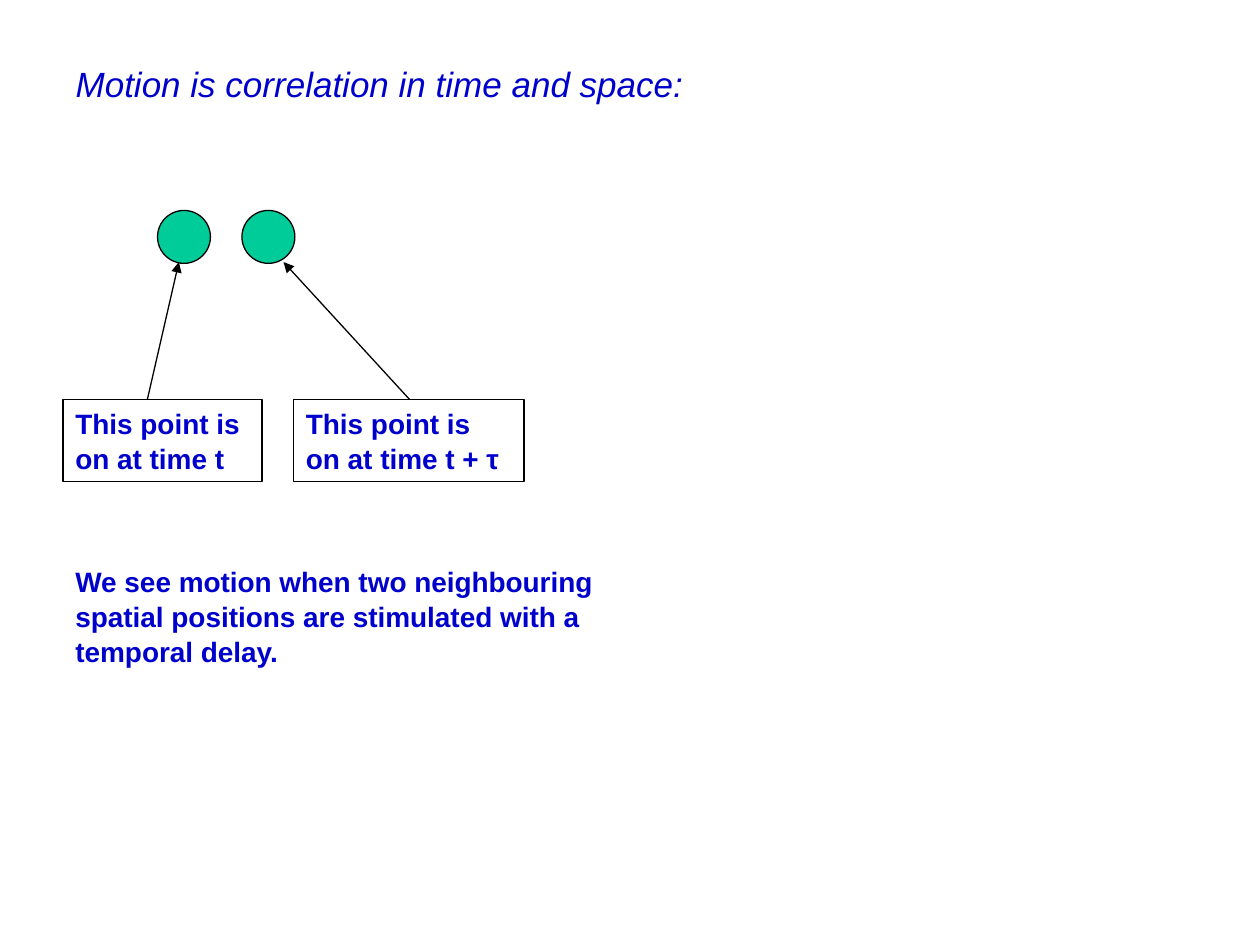
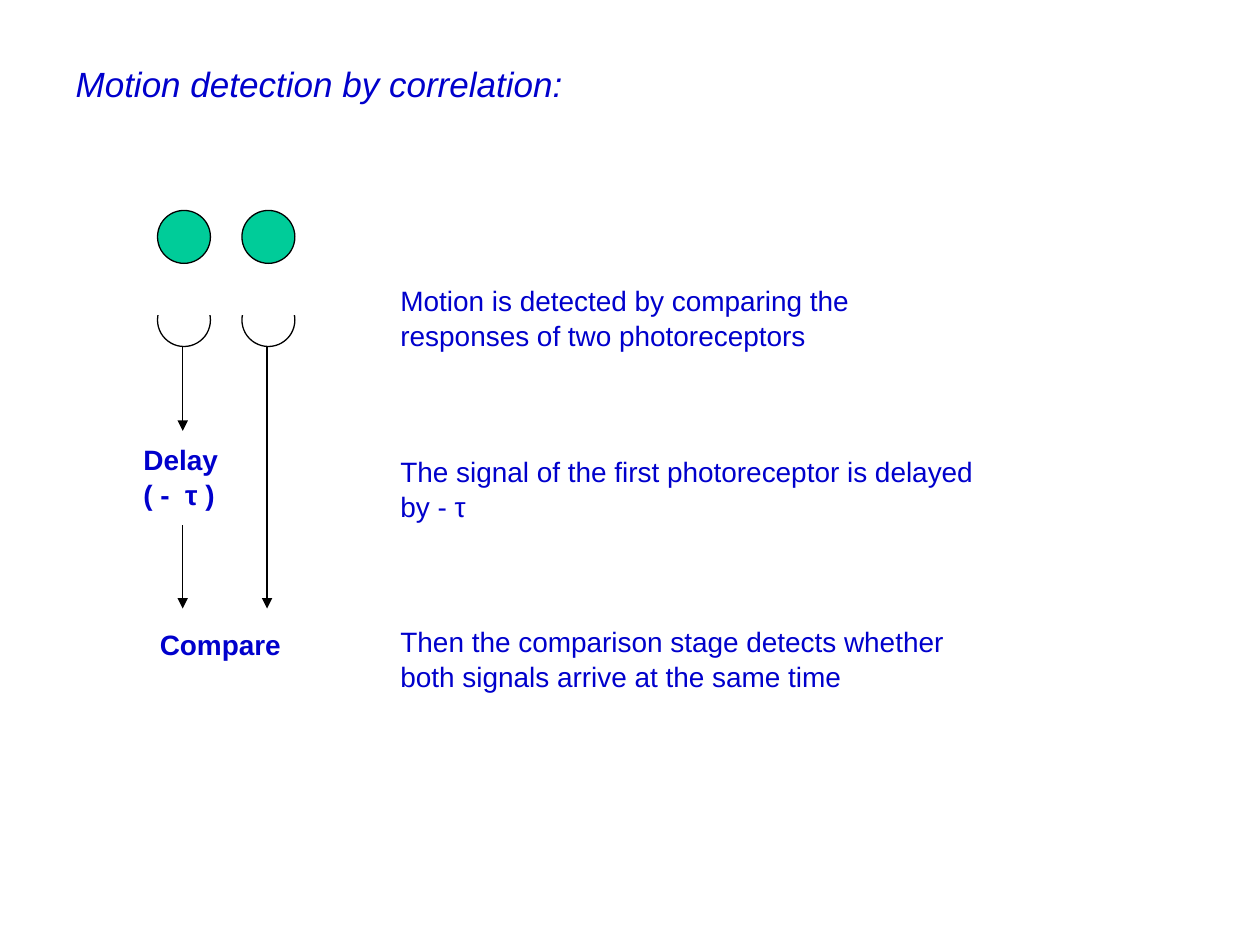
import pptx
import pptx.dml.color
import pptx.enum.shapes
import pptx.enum.text
import pptx.oxml.ns
import pptx.util
from lxml import etree
from pptx.util import Inches

INK, DOT, BLACK, WHITE = "0000CC", "00CC99", "000000", "FFFFFF"
TITLE_FONT = {"name": "Arial", "size": pptx.util.Pt(20), "italic": True}
BODY_FONT = {"name": "Arial", "size": pptx.util.Pt(16)}
BOLD_FONT = {**BODY_FONT, "bold": True}
TITLE_BOX = (0.5, 0.33, 7.42, 0.67)
DOT_SIZE, DOT_STEP = 0.42, 0.67
DOTS_AT = (1.25, 1.67)
SHAPES = pptx.enum.shapes.MSO_SHAPE


def rgb(hex_color):
    return pptx.dml.color.RGBColor.from_string(hex_color)


def inches(*values):
    return [Inches(v) for v in values]


def set_line(line):
    line.color.rgb = rgb(BLACK)
    line.width = pptx.util.Pt(0.75)


def fill_text(tf, paragraphs, font, anchor="TOP", gap=0, spacing=None):
    """Write the paragraphs, with gap points between them."""
    tf.word_wrap = True
    tf.auto_size = pptx.enum.text.MSO_AUTO_SIZE.NONE
    tf.vertical_anchor = getattr(pptx.enum.text.MSO_ANCHOR, anchor)
    for i, text in enumerate(paragraphs):
        p = tf.add_paragraph() if i else tf.paragraphs[0]
        p.alignment = pptx.enum.text.PP_ALIGN.LEFT
        if spacing:
            p.line_spacing = spacing
        if i:
            p.space_before = pptx.util.Pt(gap)
        r = p.add_run()
        r.text = text
        for name, value in font.items():
            setattr(r.font, name, value)
        r.font.color.rgb = rgb(INK)


def add_text(s, box, paragraphs, font=BOLD_FONT, gap=0, framed=False):
    sp = s.shapes.add_textbox(*inches(*box))
    fill_text(sp.text_frame, paragraphs, font, gap=gap, spacing=1.04)
    if framed:
        set_line(sp.line)


def add_shape(s, kind, box, fill=None, outlined=True):
    sp = s.shapes.add_shape(kind, *inches(*box))
    sp.shadow.inherit = False
    if fill:
        sp.fill.solid()
        sp.fill.fore_color.rgb = rgb(fill)
    else:
        sp.fill.background()
    if outlined:
        set_line(sp.line)
    else:
        sp.line.fill.background()


def add_arrow(s, start, end):
    line = s.shapes.add_connector(
        pptx.enum.shapes.MSO_CONNECTOR.STRAIGHT, *inches(*start, *end))
    set_line(line.line)
    ln = line.line._get_or_add_ln()
    etree.SubElement(ln, pptx.oxml.ns.qn("a:tailEnd"), type="triangle")
    etree.SubElement(line._element.spPr, pptx.oxml.ns.qn("a:effectLst"))


def add_circle_pair(s, left, top, fill=None):
    for i in range(2):
        add_shape(s, SHAPES.OVAL,
                  (left + i * DOT_STEP, top, DOT_SIZE, DOT_SIZE), fill)


def add_titled_slide(prs, title):
    s = prs.slides.add_slide(prs.slide_layouts[5])
    sp = s.shapes.title
    sp.left, sp.top, sp.width, sp.height = inches(*TITLE_BOX)
    fill_text(sp.text_frame, [title], TITLE_FONT, anchor="MIDDLE")
    add_circle_pair(s, *DOTS_AT, DOT)
    return s


def add_point_captions(s, left, top):
    """Framed captions, each with an arrow up to its point."""
    captions = [
        (0, 1.58, "This point is on at time t", 0.67, 0.92),
        (1.83, 1.83, "This point is on at time t + τ", 2.75, 1.75),
    ]
    for x, width, text, tail_x, head_x in captions:
        add_text(s, (left + x, top, width, 0.65), [text], framed=True)
        add_arrow(s, (left + tail_x, top), (left + head_x, top - 1.09))


def add_detector(s, left, top):
    """Two receptor cups whose signals run down to the comparison."""
    add_circle_pair(s, left, top)
    add_shape(s, SHAPES.RECTANGLE, (left - 0.25, top - 0.08, 1.5, 0.25),
              WHITE, outlined=False)
    first, second = left + 0.2, left + 0.2 + DOT_STEP
    for x, start, end in [(first, 0.42, 1.09), (first, 1.84, 2.5),
                          (second, 0.42, 2.5)]:
        add_arrow(s, (x, top + start), (x, top + end))
    add_text(s, (left - 0.21, top + 1.12, 0.92, 0.64), ["Delay ( -  τ )"])
    add_text(s, (left - 0.08, top + 2.59, 1.33, 0.37), ["Compare"])


def build_correlation_slide(prs):
    s = add_titled_slide(prs, "Motion is correlation in time and space:")
    add_point_captions(s, 0.5, 3.17)
    add_text(s, (0.5, 4.42, 4.83, 0.9), [
        "We see motion when two neighbouring spatial positions "
        "are stimulated with a temporal delay."])


def build_detection_slide(prs):
    s = add_titled_slide(prs, "Motion detection by correlation:")
    add_detector(s, 1.25, 2.33)
    add_text(s, (3.08, 2.19, 4.83, 3.31), [
        "Motion is detected by comparing the responses of two photoreceptors",
        "The signal of the first photoreceptor is delayed by - τ",
        "Then the comparison stage detects whether both signals arrive "
        "at the same time"], BODY_FONT, gap=57.6)


def main():
    prs = pptx.Presentation()
    prs.slide_width, prs.slide_height = inches(10, 7.5)
    build_correlation_slide(prs)
    build_detection_slide(prs)
    prs.save("out.pptx")


if __name__ == "__main__":
    main()
